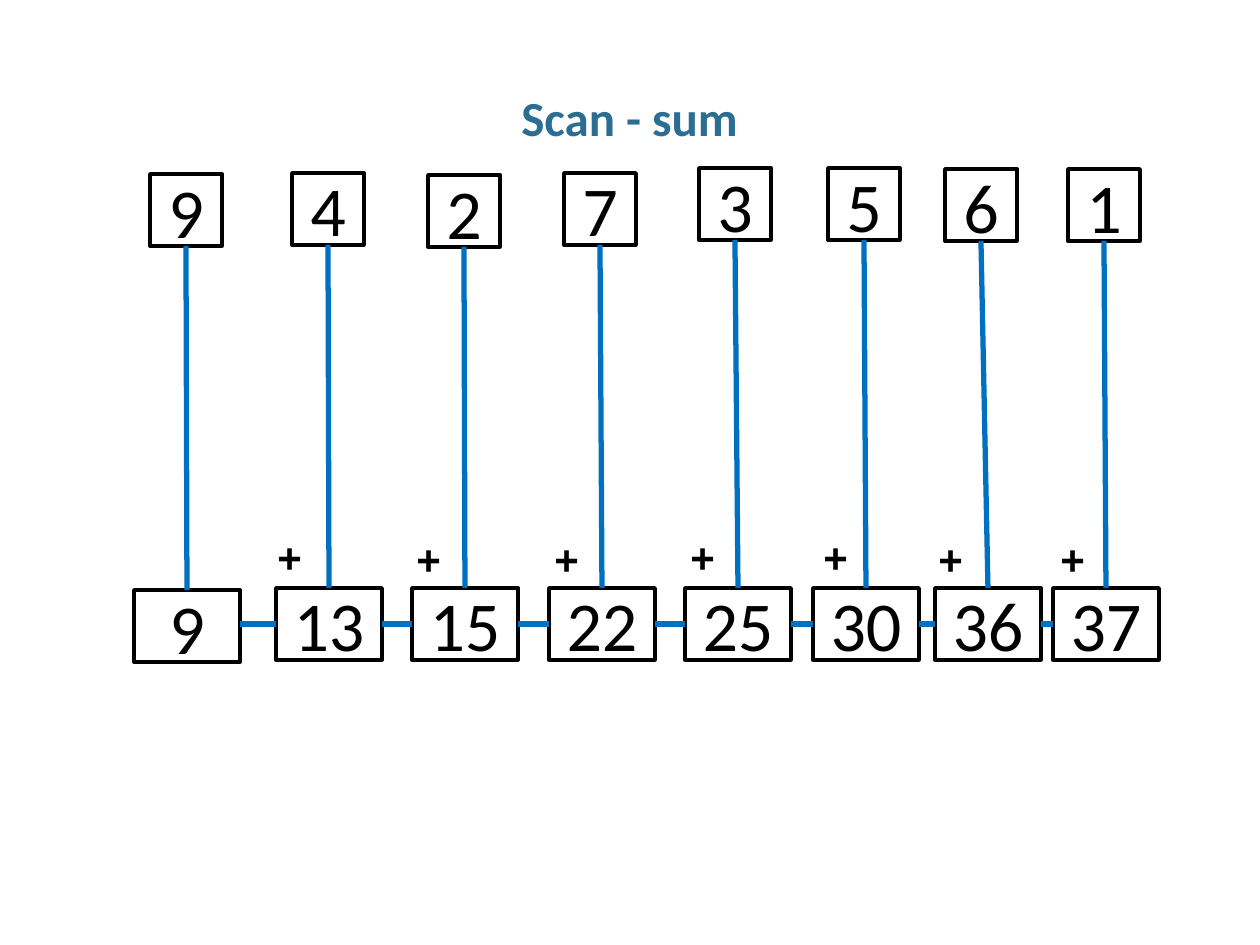
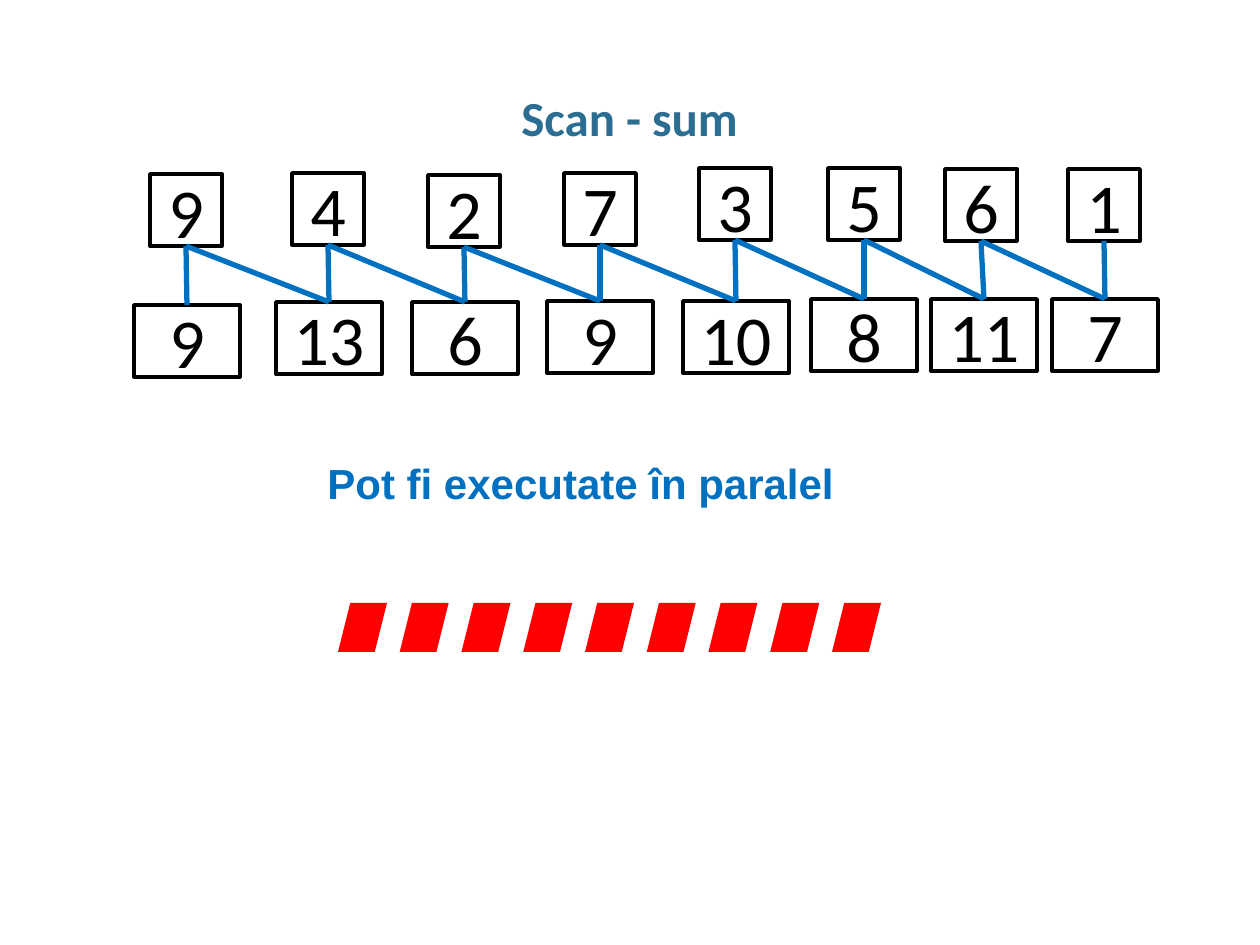
"""Two slides on the scan (prefix sum) of a row of numbers."""
from itertools import accumulate, pairwise

from lxml.etree import SubElement
from pptx import Presentation
from pptx.dml.color import RGBColor as Rgb
from pptx.enum.shapes import MSO_CONNECTOR as Link, MSO_SHAPE as Kind
from pptx.enum.text import MSO_ANCHOR as Anchor, MSO_AUTO_SIZE as Fit, PP_ALIGN as Align
from pptx.oxml.ns import qn
from pptx.util import Pt

TITLE = "Scan - sum"
NOTE = "Pot fi executate în paralel"
NUMS = [9, 4, 2, 7, 3, 5, 6, 1]
SCAN = list(accumulate(NUMS))
PAIRS = NUMS[:1] + [a + b for a, b in pairwise(NUMS)]

TOPS = [(150, 174), (292, 173), (428, 175), (564, 173),
        (699, 168), (828, 168), (945, 169), (1068, 169)]
SCAN_AT = [(134, 590), (276, 588), (412, 588), (549, 588),
           (685, 588), (813, 588), (935, 588), (1053, 588)]
PAIR_AT = [(134, 305), (276, 302), (412, 302), (547, 301),
           (683, 301), (811, 299), (931, 299), (1052, 299)]
PLUS_AT = [(265, 525), (404, 527), (542, 527), (678, 525),
           (811, 525), (926, 527), (1048, 527)]
SIDE, WIDE, TALL = 72, 106, 72
BARS = {"count": 9, "left": 338, "span": 494, "top": 603, "side": 49}

COLOR = {"title": "2C6D92", "ink": "000000", "link": "0070C0", "bar": "FF0000"}
SCALE = 914400 / 126


def px(*vals):
    return [round(v * SCALE) for v in vals]


def rgb(name):
    return Rgb.from_string(COLOR[name])


def write(frame, text, size, color, font, bold=False, align=Align.LEFT):
    par = frame.paragraphs[0]
    par.alignment = align
    run = par.add_run()
    run.text = text
    run.font.size, run.font.name, run.font.bold = Pt(size), font, bold
    run.font.color.rgb = rgb(color)
    return par


def label(slide, text, at, color):
    frame = slide.shapes.add_textbox(*px(*at)).text_frame
    frame.word_wrap = False
    frame.auto_size = Fit.SHAPE_TO_FIT_TEXT
    write(frame, text, 24, color, "Arial", True)


def title(slide):
    frame = slide.shapes.add_textbox(*px(43, 86, 1173, 63)).text_frame
    frame.word_wrap = True
    frame.margin_left = frame.margin_right = 0
    par = write(frame, TITLE, 28, "title", "Calibri", True, Align.CENTER)
    par.line_spacing = 0.95


def row(slide, nums, spots, wide):
    for num, (x, y) in zip(nums, spots):
        box = slide.shapes.add_shape(Kind.RECTANGLE, *px(x, y, wide, TALL))
        box.shadow.inherit = False
        box.fill.background()
        box.line.color.rgb, box.line.width = rgb("ink"), Pt(2)
        box.text_frame.vertical_anchor = Anchor.MIDDLE
        write(box.text_frame, str(num), 40, "ink", "Calibri", align=Align.CENTER)


def link(slide, start, end):
    line = slide.shapes.add_connector(Link.STRAIGHT, *px(*start, *end))
    line.line.color.rgb, line.line.width = rgb("link"), Pt(3)
    SubElement(line._element.spPr, qn("a:effectLst"))


def drop(slide, top, low):
    link(slide, (top[0] + SIDE / 2, top[1] + SIDE), (low[0] + WIDE / 2, low[1]))


def start(deck, nums, spots):
    slide = deck.slides.add_slide(deck.slide_layouts[6])
    title(slide)
    row(slide, nums, spots, WIDE)
    row(slide, NUMS, TOPS, SIDE)
    for top, low in zip(TOPS, spots):
        drop(slide, top, low)
    return slide


def serial(deck):
    slide = start(deck, SCAN, SCAN_AT)
    for (x, _), (end, y) in pairwise(SCAN_AT):
        link(slide, (x + WIDE, y + TALL / 2), (end, y + TALL / 2))
    for x, y in PLUS_AT:
        label(slide, "+", (x, y, 50, 63), "ink")


def paired(deck):
    slide = start(deck, PAIRS, PAIR_AT)
    for top, low in zip(TOPS, PAIR_AT[1:]):
        drop(slide, top, low)
    label(slide, NOTE, (315, 451, 537, 63), "link")
    step = BARS["span"] / (BARS["count"] - 1)
    for i in range(BARS["count"]):
        spot = px(BARS["left"] + i * step, BARS["top"], BARS["side"], BARS["side"])
        bar = slide.shapes.add_shape(Kind.PARALLELOGRAM, *spot)
        bar.shadow.inherit = False
        bar.fill.solid()
        bar.fill.fore_color.rgb = rgb("bar")
        bar.line.fill.background()


def main():
    deck = Presentation()
    deck.slide_width, deck.slide_height = px(1260, 945)
    serial(deck)
    paired(deck)
    deck.save("out.pptx")


if __name__ == "__main__":
    main()
